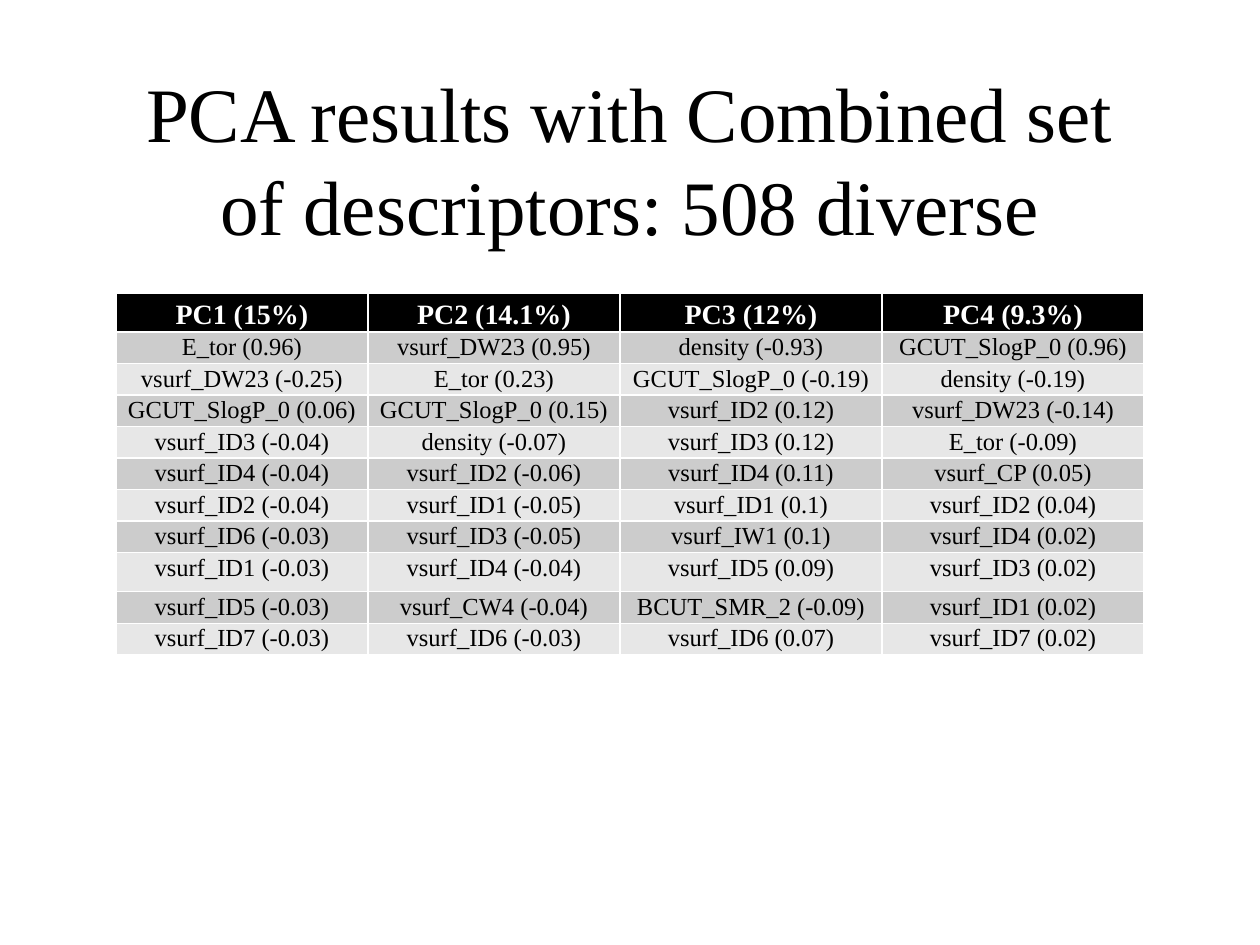
from dataclasses import dataclass

from pptx import Presentation
from pptx.dml.color import RGBColor
from pptx.enum.text import MSO_ANCHOR, PP_ALIGN
from pptx.util import Inches, Pt


@dataclass(frozen=True)
class Theme:
    font: str = "Times New Roman"
    ink: str = "000000"
    header_ink: str = "FFFFFF"
    header_fill: str = "000000"
    bands: tuple = ("CCCCCC", "E7E7E7")
    title_size: int = 44
    header_size: int = 16
    body_size: int = 14


THEME = Theme()
TITLE = "PCA results with Combined set of descriptors: 508 diverse"
COMPONENTS = ["PC1 (15%)", "PC2 (14.1%)", "PC3 (12%)", "PC4 (9.3%)"]
LOADINGS = [
    ["E_tor (0.96)", "vsurf_DW23 (0.95)", "density (-0.93)", "GCUT_SlogP_0 (0.96)"],
    ["vsurf_DW23 (-0.25)", "E_tor (0.23)", "GCUT_SlogP_0 (-0.19)", "density (-0.19)"],
    ["GCUT_SlogP_0 (0.06)", "GCUT_SlogP_0 (0.15)", "vsurf_ID2 (0.12)", "vsurf_DW23 (-0.14)"],
    ["vsurf_ID3 (-0.04)", "density (-0.07)", "vsurf_ID3 (0.12)", "E_tor (-0.09)"],
    ["vsurf_ID4 (-0.04)", "vsurf_ID2 (-0.06)", "vsurf_ID4 (0.11)", "vsurf_CP (0.05)"],
    ["vsurf_ID2 (-0.04)", "vsurf_ID1 (-0.05)", "vsurf_ID1 (0.1)", "vsurf_ID2 (0.04)"],
    ["vsurf_ID6 (-0.03)", "vsurf_ID3 (-0.05)", "vsurf_IW1 (0.1)", "vsurf_ID4 (0.02)"],
    ["vsurf_ID1 (-0.03)", "vsurf_ID4 (-0.04)", "vsurf_ID5 (0.09)", "vsurf_ID3 (0.02)"],
    ["vsurf_ID5 (-0.03)", "vsurf_CW4 (-0.04)", "BCUT_SMR_2 (-0.09)", "vsurf_ID1 (0.02)"],
    ["vsurf_ID7 (-0.03)", "vsurf_ID6 (-0.03)", "vsurf_ID6 (0.07)", "vsurf_ID7 (0.02)"],
]
COLUMN_WIDTHS = [2, 2, 2.08, 2.08]
ROW_HEIGHT = 0.25
TALL_ROW, TALL_HEIGHT = 8, 0.31


def write_text(frame, text, *, size, color=THEME.ink, bold=False, spacing=1.0):
    paragraph = frame.paragraphs[0]
    paragraph.alignment = PP_ALIGN.CENTER
    paragraph.line_spacing = spacing
    run = paragraph.add_run()
    run.text = text
    run.font.name = THEME.font
    run.font.size = Pt(size)
    run.font.bold = bold
    run.font.color.rgb = RGBColor.from_string(color)


def add_title(slide):
    title = slide.shapes.add_textbox(Inches(0.75), Inches(0.17), Inches(8.5), Inches(2.17))
    frame = title.text_frame
    frame.word_wrap = True
    frame.vertical_anchor = MSO_ANCHOR.MIDDLE
    write_text(frame, TITLE, size=THEME.title_size)


def fill_cell(cell, text, *, fill, anchor=MSO_ANCHOR.TOP, **text_format):
    cell.margin_left = cell.margin_right = Inches(0.07)
    cell.margin_top = cell.margin_bottom = 0
    cell.vertical_anchor = anchor
    cell.fill.solid()
    cell.fill.fore_color.rgb = RGBColor.from_string(fill)
    write_text(cell.text_frame, text, **text_format)


def add_loadings_table(slide):
    row_count = len(LOADINGS) + 1
    heights = [ROW_HEIGHT] * row_count
    heights[TALL_ROW] = TALL_HEIGHT
    loadings = slide.shapes.add_table(
        row_count, len(COMPONENTS), Inches(0.92), Inches(2.33),
        Inches(sum(COLUMN_WIDTHS)), Inches(sum(heights)),
    ).table
    for column, width in zip(loadings.columns, COLUMN_WIDTHS):
        column.width = Inches(width)
    for row, height in zip(loadings.rows, heights):
        row.height = Inches(height)

    for cell, component in zip(loadings.rows[0].cells, COMPONENTS):
        fill_cell(cell, component, fill=THEME.header_fill, anchor=MSO_ANCHOR.MIDDLE,
                  size=THEME.header_size, color=THEME.header_ink, bold=True, spacing=1.15)
    for index, descriptors in enumerate(LOADINGS):
        band = THEME.bands[index % len(THEME.bands)]
        for cell, descriptor in zip(loadings.rows[index + 1].cells, descriptors):
            fill_cell(cell, descriptor, fill=band, size=THEME.body_size, spacing=1.07)


def main():
    presentation = Presentation()
    presentation.slide_width = Inches(10)
    presentation.slide_height = Inches(7.5)
    slide = presentation.slides.add_slide(presentation.slide_layouts[6])
    add_title(slide)
    add_loadings_table(slide)
    presentation.save("out.pptx")


if __name__ == "__main__":
    main()
